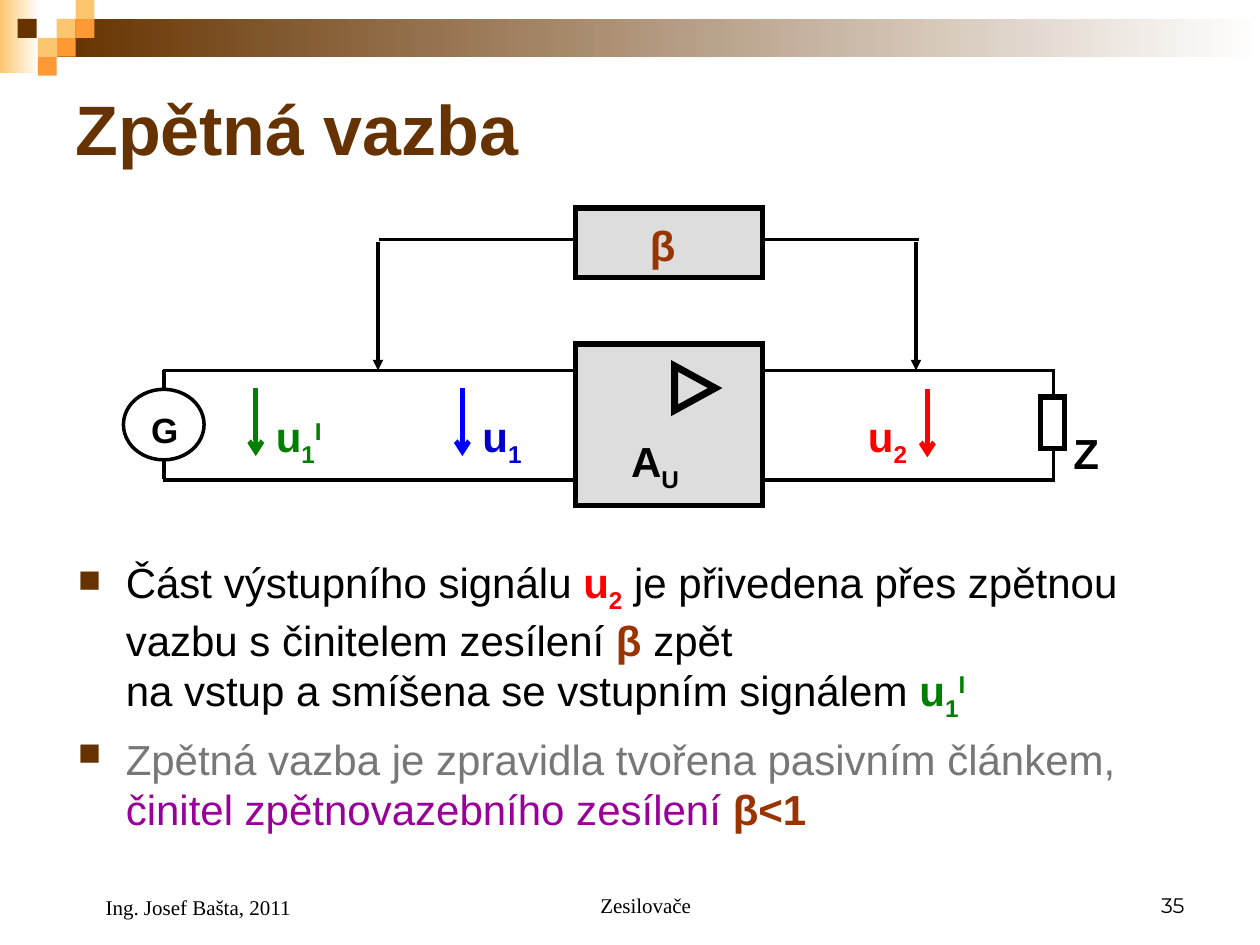
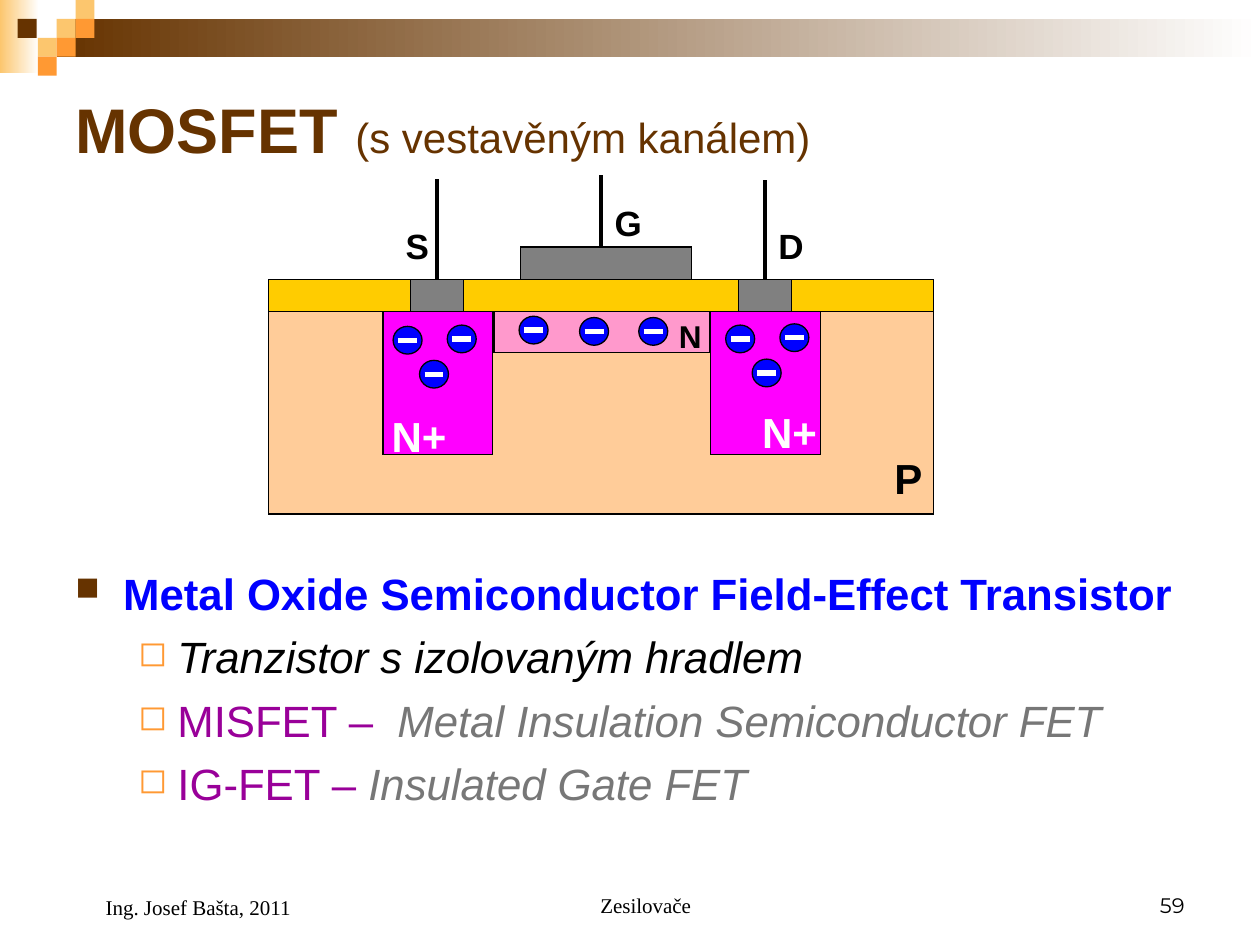
from lxml import etree
from pptx import Presentation
from pptx.dml.color import RGBColor
from pptx.enum.shapes import MSO_CONNECTOR, MSO_SHAPE
from pptx.enum.text import MSO_ANCHOR, PP_ALIGN
from pptx.oxml.ns import qn
from pptx.util import Inches, Pt

RECT, OVAL, TRIANGLE = MSO_SHAPE.RECTANGLE, MSO_SHAPE.OVAL, MSO_SHAPE.ISOSCELES_TRIANGLE
STRAIGHT = MSO_CONNECTOR.STRAIGHT
LEFT, CENTER, RIGHT = PP_ALIGN.LEFT, PP_ALIGN.CENTER, PP_ALIGN.RIGHT
TOP, MIDDLE, BOTTOM = MSO_ANCHOR.TOP, MSO_ANCHOR.MIDDLE, MSO_ANCHOR.BOTTOM

COLORS = {
    "black": "000000", "white": "FFFFFF", "brown": "663300", "sand": "FCC66E",
    "orange": "FF9933", "red": "FF0000", "green": "008000", "blue": "0000FF",
    "navy": "0000CC", "rust": "993300", "purple": "990099", "gray": "777777",
    "block": "DDDDDD", "metal": "808080", "substrate": "FFCC99",
    "oxide": "FFCC00", "well": "FF00FF", "channel": "FF99CC",
}
RGB = {name: RGBColor.from_string(value) for name, value in COLORS.items()}

# Bullet levels: character, colour, size in %, left margin, hanging indent
BULLETS = [("■", "brown", 75, 0.38, 0.38), ("◻", "orange", 80, 0.81, 0.31)]


def write(slide, at, text, size=24, color="black", bold=False, font="Arial",
          align=LEFT, anchor=TOP, margin=0, levels=(), space=0):
    """Text is a string or a list of paragraphs, each a list of (text, changes) runs."""
    frame = slide.shapes.add_textbox(*map(Inches, at)).text_frame
    frame.word_wrap = True
    frame.vertical_anchor = anchor
    paragraphs = [[(text, {})]] if isinstance(text, str) else text
    for index, runs in enumerate(paragraphs):
        paragraph = frame.add_paragraph() if index else frame.paragraphs[0]
        paragraph.alignment = align
        if index:
            paragraph.space_before = Pt(space)
        props = paragraph._p.get_or_add_pPr()
        if margin:
            props.set("marL", str(Inches(margin)))
        if levels:
            mark, mark_color, percent, left, hanging = BULLETS[levels[index]]
            paragraph.level = levels[index]
            props.set("marL", str(Inches(left)))
            props.set("indent", str(-Inches(hanging)))
            tint = etree.SubElement(props, qn("a:buClr"))
            etree.SubElement(tint, qn("a:srgbClr"), val=COLORS[mark_color])
            etree.SubElement(props, qn("a:buSzPct"), val=str(percent * 1000))
            etree.SubElement(props, qn("a:buChar"), char=mark)
        for content, changes in runs:
            for number, line in enumerate(content.split("\n")):
                if number:
                    paragraph.add_line_break()
                run = paragraph.add_run()
                run.text = line
                run.font.name = font
                run.font.size = Pt(changes.get("size", size))
                run.font.bold = changes.get("bold", bold)
                run.font.italic = changes.get("italic", False)
                run.font.color.rgb = RGB[changes.get("color", color)]
                if "base" in changes:
                    run._r.get_or_add_rPr().set("baseline", str(changes["base"] * 1000))


def draw(slide, kind, at, fill=None, line=None, width=0.75, fade=False, tail=None):
    """At is left, top, width, height for a shape and x1, y1, x2, y2 for a line."""
    is_line = kind is STRAIGHT
    if is_line:
        part = slide.shapes.add_connector(kind, *map(Inches, at))
    else:
        part = slide.shapes.add_shape(kind, *map(Inches, at))
        part.shadow.inherit = False
        if fade:
            part.fill.gradient()
            part.fill.gradient_angle = 0
            for stop, color in zip(part.fill.gradient_stops, (fill, "white")):
                stop.color.rgb = RGB[color]
        elif fill:
            part.fill.solid()
            part.fill.fore_color.rgb = RGB[fill]
        else:
            part.fill.background()
    properties = part._element.spPr
    if line:
        part.line.color.rgb = RGB[line]
        part.line.width = Pt(width)
        outline = properties.find(qn("a:ln"))
        etree.SubElement(outline, qn("a:miter"), lim="800000")
        if tail:
            etree.SubElement(outline, qn("a:tailEnd"), type=tail)
    else:
        part.line.fill.background()
    if is_line:
        etree.SubElement(properties, qn("a:effectLst"))
    return part


deck = Presentation()
deck.slide_width, deck.slide_height = Inches(10), Inches(7.5)

# Shared band, checker squares, title and footer
TILE = 0.15
CHECKER = [(0.45, 0.15, "sand"), (0.6, 0, "sand"), (0.6, 0.15, "orange"),
           (0.3, 0.3, "sand"), (0.14, 0.15, "brown"), (0.45, 0.3, "orange"),
           (0.3, 0.45, "orange")]
TITLES = [
    ("35", [("Zpětná vazba", {"size": 40})]),
    ("59", [("MOSFET ", {"size": 36}), ("(s vestavěným kanálem)", {"bold": False})]),
]
for page, title in TITLES:
    slide = deck.slides.add_slide(deck.slide_layouts[6])
    draw(slide, RECT, (0, 0, 0.31, 0.58), "sand", fade=True)
    draw(slide, RECT, (0.45, 0.15, 9.55, 0.3), "brown", fade=True)
    for x, y, color in CHECKER:
        draw(slide, RECT, (x, y, TILE, TILE), color)
    write(slide, (0.5, 0.5, 9, 1.03), [title], color="brown", bold=True, anchor=MIDDLE)
    write(slide, (0.5, 6.83, 2.33, 0.52), "Ing. Josef Bašta, 2011", size=12,
          font="Times New Roman", anchor=BOTTOM, margin=0.24)
    write(slide, (3.42, 6.83, 3.17, 0.5), "Zesilovače", size=12,
          font="Times New Roman", align=CENTER, anchor=BOTTOM, margin=0.24)
    write(slide, (7.17, 6.83, 2.33, 0.5), page, size=12, font="Montserrat",
          align=RIGHT, anchor=BOTTOM)
feedback, mosfet = deck.slides

# Feedback: explanation
SUB, SUP = {"base": -25}, {"base": 30}
RED = {"color": "red", "bold": True}
GREEN = {"color": "green", "bold": True}
RUST = {"color": "rust", "bold": True}
write(feedback, (0.52, 4.37, 9, 2.47), [
    [("Část výstupního signálu ", {}), ("u", RED), ("2", RED | SUB),
     (" je přivedena přes zpětnou vazbu s činitelem zesílení ", {}), ("β ", RUST),
     ("zpět \nna vstup a smíšena se vstupním signálem ", {}),
     ("u", GREEN), ("1", GREEN | SUB), ("I", GREEN | SUP)],
    [("Zpětná vazba je zpravidla tvořena pasivním článkem, ", {"color": "gray"}),
     ("činitel zpětnovazebního zesílení ", {"color": "purple"}), ("β<1", RUST)],
], levels=(0, 0), space=6.5)

# Feedback: wires
WIRES = [(3.01, 1.9, 7.29, 1.9), (1.29, 2.94, 8.35, 2.94), (1.29, 3.81, 8.37, 3.81),
         (1.3, 2.94, 1.3, 3.8), (8.36, 2.93, 8.36, 3.81)]
for wire in WIRES:
    draw(feedback, STRAIGHT, wire, line="black", width=2)
for x in (3, 7.27):
    draw(feedback, STRAIGHT, (x, 1.92, x, 2.94), line="black", width=2, tail="triangle")

# Feedback: amplifier, feedback block, generator and load
draw(feedback, RECT, (4.57, 2.73, 1.48, 1.28), "block", "black", 3)
draw(feedback, RECT, (4.57, 1.65, 1.48, 0.55), "block", "black", 3)
draw(feedback, TRIANGLE, (5.34, 2.92, 0.35, 0.32), None, "black", 4).rotation = 90
draw(feedback, OVAL, (0.98, 3.09, 0.64, 0.56), "white", "black", 2)
draw(feedback, RECT, (8.26, 3.15, 0.19, 0.41), "white", "black", 3)

# Feedback: voltage arrows and labels
for x, y, color in [(2.03, 3.08, "green"), (3.67, 3.08, "blue"), (7.36, 3.09, "red")]:
    draw(feedback, STRAIGHT, (x, y, x, y + 0.54), line=color, width=2.75, tail="arrow")
SYMBOLS = [
    ((2.09, 3.21, 0.81, 0.56), [("u", {}), ("1", SUB), ("I", SUP)], 24, "green"),
    ((3.73, 3.21, 0.61, 0.56), [("u", {}), ("1", SUB)], 24, "navy"),
    ((6.79, 3.21, 0.58, 0.56), [("u", {}), ("2", SUB)], 24, "red"),
    ((4.91, 3.41, 0.72, 0.56), [("A", {}), ("U", SUB)], 24, "black"),
    ((5.06, 1.69, 0.59, 0.5), [("β", {})], 24, "rust"),
    ((8.42, 3.34, 0.42, 0.5), [("Z", {})], 24, "black"),
    ((1.1, 3.19, 0.45, 0.44), [("G", {})], 20, "black"),
]
for at, runs, size, color in SYMBOLS:
    write(feedback, at, [runs], size=size, color=color, bold=True)

# MOSFET: explanation
PURPLE = {"color": "purple"}
GRAY = {"color": "gray", "italic": True}
write(mosfet, (0.5, 4.45, 9, 2.16), [
    [("Metal Oxide Semiconductor Field-Effect Transistor", {"color": "blue", "bold": True})],
    [("Tranzistor s izolovaným hradlem", {"italic": True})],
    [("MISFET – ", PURPLE), (" Metal Insulation Semiconductor FET", GRAY)],
    [("IG-FET – ", PURPLE), ("Insulated Gate FET", GRAY)],
], size=25, levels=(0, 1, 1, 1), space=6.2)

# MOSFET: layers, then source and drain side by side
DRAIN_SHIFT = 2.6
draw(mosfet, RECT, (2.13, 2.47, 5.28, 1.61), "substrate", "black")
draw(mosfet, RECT, (2.13, 2.22, 5.28, 0.25), "oxide", "black")
draw(mosfet, RECT, (4.13, 1.96, 1.36, 0.26), "metal", "black")
for shift, lead_top in [(0, 1.42), (DRAIN_SHIFT, 1.43)]:
    contact = draw(mosfet, RECT, (3.26 + shift, 2.22, 0.42, 0.26), "metal", "black")
    draw(mosfet, RECT, (3.04 + shift, 2.47, 0.87, 1.14), "well", "black")
    lead_x = 3.47 + shift
    lead = draw(mosfet, STRAIGHT, (lead_x, 2.22, lead_x, lead_top), line="black", width=2.5)
    lead.begin_connect(contact, 0)
draw(mosfet, STRAIGHT, (4.77, 1.96, 4.77, 1.39), line="black", width=2.5)
draw(mosfet, RECT, (3.92, 2.47, 1.71, 0.33), "channel", "black")

# MOSFET: electrons in the source, drain and channel
source_electrons = [(3.12, 2.59), (3.55, 2.58), (3.33, 2.86)]
drain_electrons = [(x + 2.64, y - 0.01) for x, y in source_electrons]
channel_electrons = [(4.12, 2.51), (4.6, 2.52), (5.07, 2.52)]
for x, y in source_electrons + drain_electrons + channel_electrons:
    draw(mosfet, OVAL, (x, y, 0.23, 0.22), "blue", "black")
    draw(mosfet, STRAIGHT, (x + 0.04, y + 0.11, x + 0.19, y + 0.11), line="white", width=3)

# MOSFET: labels
REGIONS = [
    ((3.12, 1.73, 0.41, 0.44), "S", 20, "black"),
    ((4.78, 1.55, 0.41, 0.44), "G", 20, "black"),
    ((6.08, 1.73, 0.41, 0.44), "D", 20, "black"),
    ((3.01, 3.21, 0.69, 0.5), "N+", 24, "white"),
    ((5.95, 3.18, 0.69, 0.5), "N+", 24, "white"),
    ((5.29, 2.47, 0.31, 0.4), "N", 18, "black"),
    ((7, 3.54, 0.29, 0.5), "P", 24, "black"),
]
for at, name, size, color in REGIONS:
    write(mosfet, at, name, size=size, color=color, bold=True)

deck.save("out.pptx")
